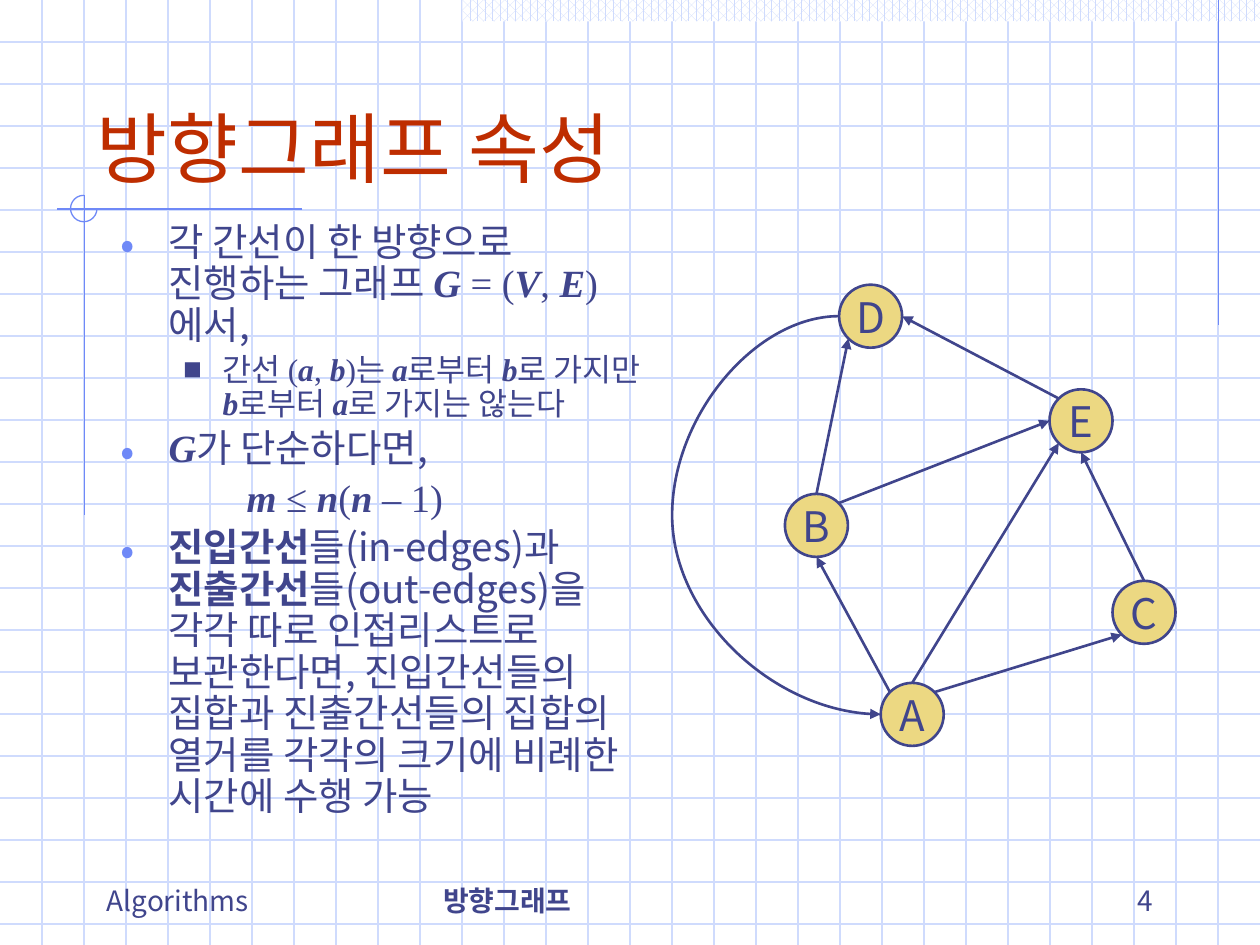
from math import cos, radians, sin

from lxml import etree
from pptx import Presentation
from pptx.dml.color import RGBColor
from pptx.enum.dml import MSO_PATTERN
from pptx.enum.shapes import MSO_CONNECTOR, MSO_SHAPE
from pptx.enum.text import MSO_ANCHOR, PP_ALIGN
from pptx.oxml.ns import qn
from pptx.util import Inches, Pt

NAVY = RGBColor(0x40, 0x45, 0x8C)
BLUE = RGBColor(0x6F, 0x89, 0xF7)
PALE = RGBColor(0xCF, 0xDB, 0xFD)
RED = RGBColor(0xBE, 0x2D, 0x00)
GOLD = RGBColor(0xEC, 0xD8, 0x82)
WHITE = RGBColor(0xFF, 0xFF, 0xFF)
SANS, SERIF = "Noto Sans CJK KR", "Times New Roman"

# Run kinds: (font, bold, italic)
TEXT, STRONG = (SANS, False, False), (SANS, True, False)
MATH, VAR = (SERIF, False, False), (SERIF, True, True)


class Deck:
    def __init__(self, width, height):
        self.prs = Presentation()
        self.prs.slide_width, self.prs.slide_height = Inches(width), Inches(height)
        self.s = self.prs.slides.add_slide(self.prs.slide_layouts[6])

    def font(self, r, size, color=NAVY, kind=TEXT):
        f = r.font
        f.name, f.bold, f.italic = kind
        f.size, f.color.rgb = Pt(size), color
        latin = r._r.rPr.find(qn("a:latin"))
        latin.addnext(etree.Element(qn("a:ea"), typeface=kind[0]))

    def line(self, start, end, color=NAVY, width=1.5, arrow=None, bend=None):
        kind = MSO_CONNECTOR.STRAIGHT if bend is None else MSO_CONNECTOR.CURVE
        c = self.s.shapes.add_connector(kind, *map(Inches, (*start, *end)))
        c.line.color.rgb, c.line.width = color, Pt(width)
        sp_pr = c._element.spPr
        if arrow:
            etree.SubElement(sp_pr.find(qn("a:ln")), qn(f"a:{arrow}"), type="triangle")
        if bend is not None:
            guides = sp_pr.find(qn("a:prstGeom")).get_or_add_avLst()
            etree.SubElement(guides, qn("a:gd"), name="adj1", fmla=f"val {bend}")
        etree.SubElement(sp_pr, qn("a:effectLst"))

    def shape(self, kind, *box):
        sp = self.s.shapes.add_shape(kind, *map(Inches, box))
        sp.shadow.inherit = False
        return sp

    def frame(self, box, anchor):
        tf = self.s.shapes.add_textbox(*map(Inches, box)).text_frame
        tf.word_wrap, tf.vertical_anchor = True, anchor
        return tf

    def label(self, box, text, size, color=NAVY, kind=TEXT, align=PP_ALIGN.LEFT):
        tf = self.frame(box, MSO_ANCHOR.BOTTOM)
        tf.text = text
        p = tf.paragraphs[0]
        p.alignment = align
        self.font(p.runs[0], size, color, kind)

    def body(self, box, items):
        tf = self.frame(box, MSO_ANCHOR.TOP)
        for i, (size, margin, hang, bullet, runs) in enumerate(items):
            p = tf.add_paragraph() if i else tf.paragraphs[0]
            p.line_spacing, p.space_before = 0.9, Pt(size * 0.2)
            for text, kind in runs:
                r = p.add_run()
                r.text = text
                self.font(r, size, NAVY, kind)
            pPr = p._p.get_or_add_pPr()
            pPr.set("marL", str(Inches(margin)))
            pPr.set("indent", str(-Inches(hang)))
            if bullet:
                char, color, percent = bullet
                clr = etree.SubElement(pPr, qn("a:buClr"))
                etree.SubElement(clr, qn("a:srgbClr"), val=str(color))
                etree.SubElement(pPr, qn("a:buSzPct"), val=str(percent * 1000))
                etree.SubElement(pPr, qn("a:buFont"), typeface=SANS)
                etree.SubElement(pPr, qn("a:buChar"), char=char)

    def node(self, name, x, y, size):
        sp = self.shape(MSO_SHAPE.OVAL, x, y, size, size)
        sp.fill.solid()
        sp.fill.fore_color.rgb = GOLD
        sp.line.color.rgb, sp.line.width = NAVY, Pt(1.5)
        tf = sp.text_frame
        tf.text, tf.word_wrap, tf.vertical_anchor = name, False, MSO_ANCHOR.MIDDLE
        p = tf.paragraphs[0]
        p.alignment = PP_ALIGN.CENTER
        self.font(p.runs[0], 24)


NODE = 0.5
NODES = {"A": (6.99, 5.42), "B": (6.23, 3.92), "D": (6.66, 2.26),
         "C": (8.83, 4.61), "E": (8.33, 3.09)}
# Each end is a node and the angle on its rim, counterclockwise from the right
EDGES = [("A", 135, "B", 270), ("A", 45, "C", 225), ("B", 90, "D", 225),
         ("E", 135, "D", 0), ("C", 90, "E", 270), ("A", 90, "E", 225),
         ("B", 45, "E", 180)]


def rim(name, angle):
    x, y = NODES[name]
    r, a = NODE / 2, radians(angle)
    return x + r + r * cos(a), y + r - r * sin(a)


DOT, SQUARE = ("•", BLUE, 110), ("■", NAVY, 60)
BODY = [
    (22, 0.38, 0.38, DOT, [
        ("각 간선이 한 방향으로 진행하는 그래프 ", TEXT), ("G ", VAR), ("= (", MATH),
        ("V", VAR), (", ", MATH), ("E", VAR), (")", MATH), ("에서,", TEXT)]),
    (18, 0.81, 0.31, SQUARE, [
        ("간선 ", TEXT), ("(", MATH), ("a", VAR), (", ", MATH), ("b", VAR),
        (")", MATH), ("는 ", TEXT), ("a", VAR), ("로부터 ", TEXT), ("b", VAR),
        ("로 가지만 ", TEXT), ("b", VAR), ("로부터 ", TEXT), ("a", VAR),
        ("로 가지는 않는다", TEXT)]),
    (22, 0.38, 0.38, DOT, [("G", VAR), ("가 단순하다면,", TEXT)]),
    (22, 1, 0, None, [
        ("m ", VAR), ("≤ ", MATH), ("n", VAR), ("(", MATH), ("n", VAR),
        (" – 1)", MATH)]),
    (22, 0.38, 0.38, DOT, [
        ("진입간선", STRONG), ("들(in-edges)과 ", TEXT), ("진출간선", STRONG),
        ("들(out-edges)을 각각 따로 인접리스트로 보관한다면, 진입간선들의 집합과 "
         "진출간선들의 집합의 열거를 각각의 크기에 비례한 시간에 수행 가능", TEXT)]),
]


def main():
    deck = Deck(10, 7.5)

    # Background grid, three cells to the inch
    for i in range(1, 23):
        deck.line((0, i / 3), (10, i / 3), PALE, 0.75)
    for i in range(1, 30):
        deck.line((i / 3, 0), (i / 3, 7.5), PALE, 0.75)

    # Top band
    band = deck.shape(MSO_SHAPE.RECTANGLE, 3.67, 0, 6.33, 0.17)
    band.fill.patterned()
    band.fill.pattern = MSO_PATTERN.PERCENT_60
    band.fill.fore_color.rgb, band.fill.back_color.rgb = PALE, WHITE
    band.line.fill.background()

    # Drafting lines and three-quarter circle
    deck.line((9.67, 0), (9.67, 2.58), BLUE, 0.75)
    deck.line((2.4, 1.66), (0.45, 1.66), BLUE, 0.75)
    deck.line((0.67, 1.55), (0.67, 4.09), BLUE, 0.75)
    arc = deck.shape(MSO_SHAPE.ARC, 0.56, 1.55, 0.21, 0.21)
    arc.adjustments[0], arc.adjustments[1] = 0, 162
    arc.fill.background()
    arc.line.color.rgb, arc.line.width = BLUE, Pt(0.75)

    # Title, body and footer
    deck.label((0.67, 0.33, 8.63, 1.25), "방향그래프 속성", 44, RED)
    deck.body((0.86, 1.72, 4.46, 5.18), BODY)
    deck.label((0.75, 6.83, 2.37, 0.5), "Algorithms", 16)
    deck.label((3.42, 6.83, 3.17, 0.5), "방향그래프", 16, kind=STRONG)
    deck.label((7.17, 6.83, 2.08, 0.5), "4", 16, align=PP_ALIGN.RIGHT)

    # Directed graph
    for name, (x, y) in NODES.items():
        deck.node(name, x, y, NODE)
    for tail, out, head, into in EDGES:
        deck.line(rim(tail, out), rim(head, into), arrow="tailEnd")
    deck.line(rim("A", 180), rim("D", 180), arrow="headEnd", bend=501600)

    deck.prs.save("out.pptx")


if __name__ == "__main__":
    main()
